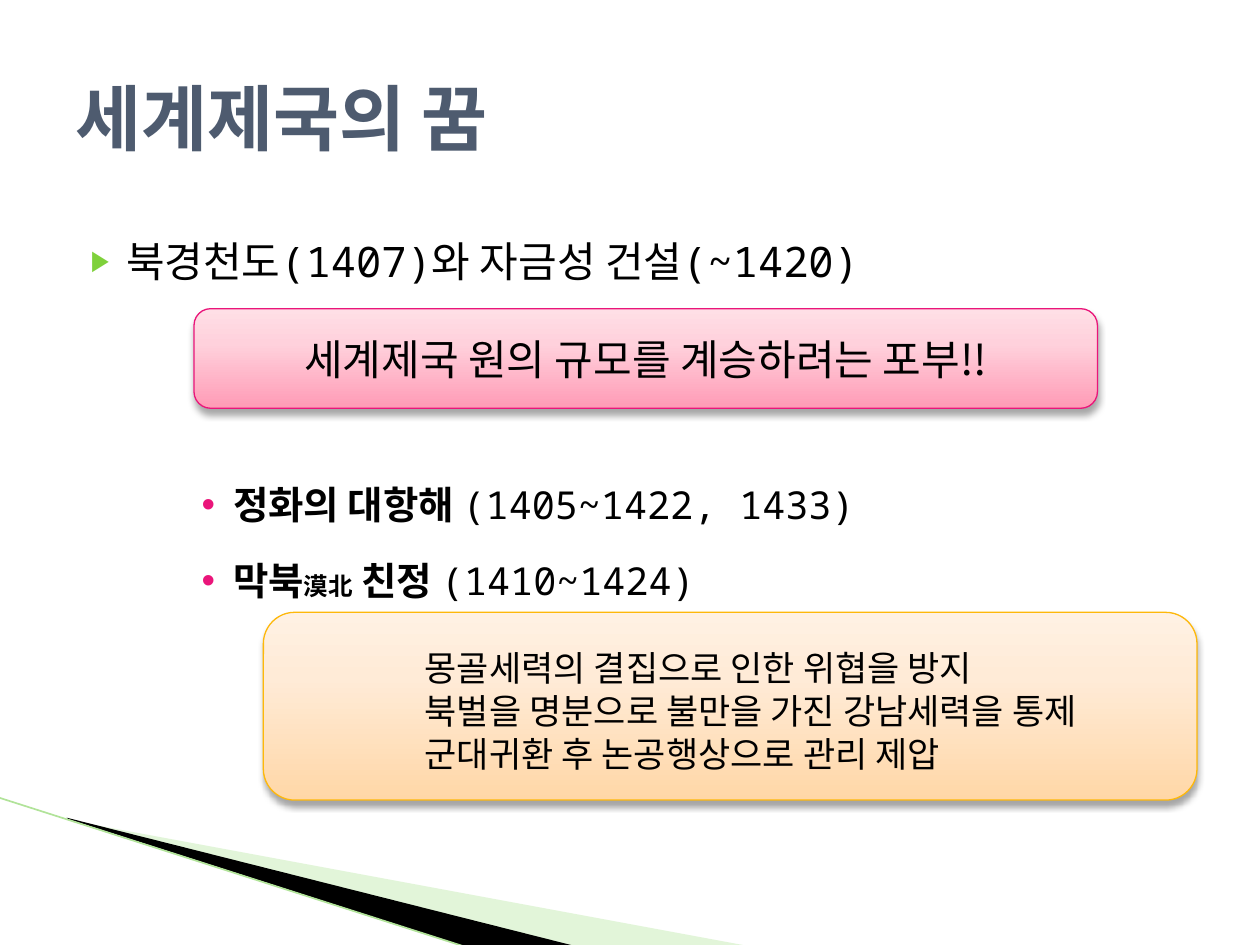
from copy import deepcopy

from lxml import etree
from pptx import Presentation
from pptx.dml.color import RGBColor
from pptx.enum.shapes import MSO_CONNECTOR, MSO_SHAPE
from pptx.enum.text import MSO_ANCHOR, MSO_AUTO_SIZE, PP_ALIGN
from pptx.oxml.ns import qn
from pptx.util import Inches, Pt

STRAIGHT = MSO_CONNECTOR.STRAIGHT
ROUNDED = MSO_SHAPE.ROUNDED_RECTANGLE
TOP, MIDDLE = MSO_ANCHOR.TOP, MSO_ANCHOR.MIDDLE
LEFT, CENTER = PP_ALIGN.LEFT, PP_ALIGN.CENTER
NO_FIT = MSO_AUTO_SIZE.NONE

SANS, MONO = "Noto Sans CJK KR", "Noto Sans Mono"
COLORS = {
    "text": "000000", "title": "4E5B6F", "green": "7FD13B",
    "pale": "B8E7A1", "edge": "B1E399", "pink": "EA157A", "amber": "FEB80A",
}
PINK_STOPS = [(0, "FF9BB6"), (65, "FFD1DC"), (100, "FFDFE6")]
AMBER_STOPS = [(0, "FFD7A7"), (65, "FFEBD7"), (100, "FFF1E3")]


def rgb(name):
    return RGBColor.from_string(COLORS[name])


def add_xml(parent, tag, **attributes):
    values = {key: str(value) for key, value in attributes.items()}
    return etree.SubElement(parent, qn(tag), values)


class SlideBuilder:
    def __init__(self, slide):
        self.slide = slide
        self.shapes = slide.shapes

    def wedge(self, points, color, alpha=100):
        start, *others = [(Inches(x), Inches(y)) for x, y in points]
        builder = self.shapes.build_freeform(*start)
        builder.add_line_segments(others)
        wedge = builder.convert_to_shape()
        wedge.shadow.inherit = False
        wedge.fill.solid()
        wedge.fill.fore_color.rgb = rgb(color)
        wedge.line.fill.background()
        if alpha < 100:
            tint = wedge._element.spPr.find(".//" + qn("a:srgbClr"))
            add_xml(tint, "a:alpha", val=alpha * 1000)

    def line(self, start, end, color, width):
        ends = [Inches(value) for value in (*start, *end)]
        line = self.shapes.add_connector(STRAIGHT, *ends)
        line.line.color.rgb = rgb(color)
        line.line.width = Pt(width)
        add_xml(line._element.spPr, "a:effectLst")

    def placeholder(self, index, box, anchor):
        holder = self.slide.placeholders[index]
        holder.left, holder.top, holder.width, holder.height = map(Inches, box)
        self.shapes._spTree.append(holder._element)  # in front of the wedges
        frame = holder.text_frame
        frame.auto_size = NO_FIT
        frame.word_wrap = True
        frame.vertical_anchor = anchor
        return frame

    def paragraph(self, frame, runs, size, font=MONO, color="text", bold=False,
                  align=LEFT, indent=(0, 0), bullet=None, before=0, spacing=None):
        """Runs are (text, overrides) pairs; bullet is (char, color, percent)."""
        first = not frame.paragraphs[0].runs
        paragraph = frame.paragraphs[0] if first else frame.add_paragraph()
        properties = paragraph._p.get_or_add_pPr()
        properties.set("marL", str(Inches(indent[0])))
        properties.set("indent", str(Inches(indent[1])))
        if bullet:
            char, bullet_color, percent = bullet
            tint = add_xml(properties, "a:buClr")
            add_xml(tint, "a:srgbClr", val=COLORS[bullet_color])
            add_xml(properties, "a:buSzPct", val=percent * 1000)
            add_xml(properties, "a:buFont", typeface="Arial")
            add_xml(properties, "a:buChar", char=char)
        paragraph.alignment = align
        paragraph.space_before = Pt(before)
        if spacing:
            paragraph.line_spacing = Pt(spacing)
        paragraph.font.size = Pt(size)
        paragraph.font.name = font
        paragraph.font.color.rgb = rgb(color)
        paragraph.font.bold = bold
        add_xml(properties.find(qn("a:defRPr")), "a:ea", typeface=SANS)
        for text, overrides in runs:
            run = paragraph.add_run()
            run.text = text
            for name, value in overrides.items():
                setattr(run.font, name, value)

    def callout(self, box, stops, outline):
        callout = self.shapes.add_shape(ROUNDED, *map(Inches, box))
        callout.fill.gradient()
        callout.fill.gradient_angle = 90
        stop_list = callout._element.spPr.find(".//" + qn("a:gsLst"))
        stop_list.insert(0, deepcopy(stop_list[0]))
        for stop, (position, color) in zip(callout.fill.gradient_stops, stops):
            stop.position = position / 100
            stop.color.rgb = RGBColor.from_string(color)
        callout.line.color.rgb = rgb(outline)
        callout.line.width = Pt(0.75)
        callout.shadow.inherit = False
        effects = callout._element.spPr.find(qn("a:effectLst"))
        shadow = add_xml(effects, "a:outerShdw", blurRad=Pt(4), dist=Pt(3),
                         dir=90 * 60000, rotWithShape=0)
        tint = add_xml(shadow, "a:srgbClr", val=COLORS["text"])
        add_xml(tint, "a:alpha", val=35000)
        frame = callout.text_frame
        frame.word_wrap = True
        frame.vertical_anchor = MIDDLE
        return frame


deck = Presentation()
deck.slide_width, deck.slide_height = Inches(10), Inches(7.5)
page = SlideBuilder(deck.slides.add_slide(deck.slide_layouts[1]))

# Corner decoration
page.wedge([(0.55, 6.51), (5.95, 7.51), (4.56, 7.51), (0.55, 6.5)], "pale", 40)
page.wedge([(0.53, 6.49), (4.57, 7.51), (3.72, 7.52), (0.54, 6.5)], "text")
page.line((-0.01, 6.33), (3.71, 7.52), "edge", 0.95)

# Main points
points = page.placeholder(1, (0.5, 1.62, 9, 4.95), TOP)
page.paragraph(points, [("북경천도(1407)와 자금성 건설(~1420)", {})], 24,
               indent=(0.4, -0.28), bullet=("▶", "green", 68),
               before=4, spacing=43)
BOLD = {"bold": True}
campaigns = [
    (98, [("정화의 대항해 ", BOLD), ("(1405~1422, 1433)", {})]),
    (3.5, [("막북", BOLD), ("漠北", {"bold": True, "size": Pt(14)}),
           (" 친정 ", BOLD), ("(1410~1424)", {})]),
]
for gap, campaign in campaigns:
    page.paragraph(points, campaign, 22, indent=(1.25, -0.25),
                   bullet=("•", "pink", 100), before=gap, spacing=40)

# Title
title = page.placeholder(0, (0.5, 0.3, 9, 1.25), MIDDLE)
page.paragraph(title, [("세계제국의 꿈", {})], 41, color="title", bold=True)

# Callouts
ambition = page.callout((1.54, 2.45, 7.17, 0.79), PINK_STOPS, "pink")
page.paragraph(ambition, [("세계제국 원의 규모를 계승하려는 포부!!", {})], 24,
               font=SANS, align=CENTER)

motives = page.callout((2.09, 4.86, 7.41, 1.49), AMBER_STOPS, "amber")
for motive, spacing in [
    ("몽골세력의 결집으로 인한 위협을 방지", 29),
    ("북벌을 명분으로 불만을 가진 강남세력을 통제", 24.4),
    ("군대귀환 후 논공행상으로 관리 제압", 24.4),
]:
    page.paragraph(motives, [(motive, {})], 20, font=SANS,
                   indent=(1.11, 0), spacing=spacing)

deck.save("out.pptx")
